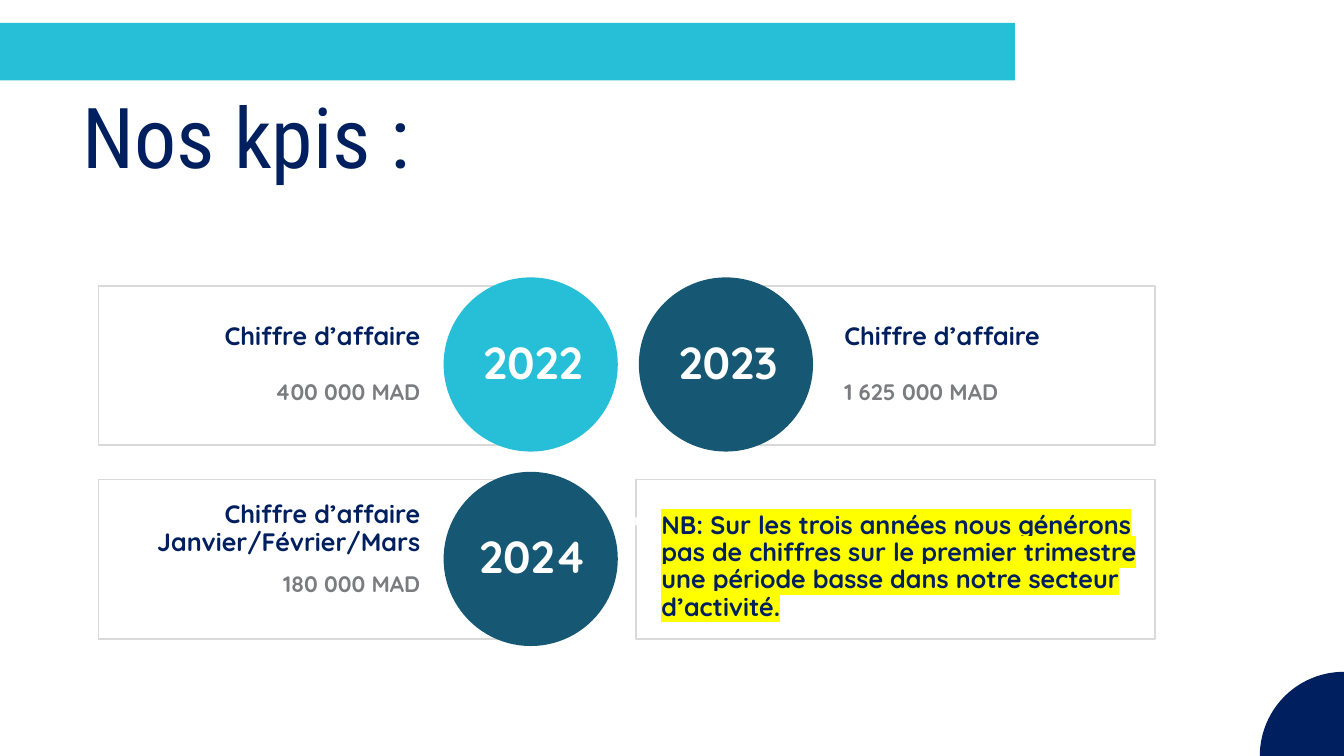
from math import cos, pi, sin

from lxml.etree import SubElement
from pptx import Presentation
from pptx.dml.color import RGBColor
from pptx.enum.shapes import MSO_SHAPE
from pptx.enum.text import MSO_ANCHOR, PP_ALIGN
from pptx.oxml import parse_xml
from pptx.oxml.ns import nsdecls, qn
from pptx.util import Cm, Pt

NAVY, CYAN, TEAL = "001F5E", "27BED8", "165873"
GREY, BORDER, WHITE = "7B7C7F", "D9D9D9", "FEFFFE"
CARD_H, CIRCLE = 4.01, 4.39


def rgb(color):
    return RGBColor.from_string(color)


def add_bullet(p, char, color):
    pPr = p._p.get_or_add_pPr()
    clr = SubElement(pPr, qn("a:buClr"))
    SubElement(clr, qn("a:srgbClr"), val=color)
    SubElement(pPr, qn("a:buChar"), char=char)


def add_highlight(r, color):
    fill = r._r.rPr.find(qn("a:solidFill"))
    fill.addnext(parse_xml(
        f'<a:highlight {nsdecls("a")}><a:srgbClr val="{color}"/></a:highlight>'))


def add_text(s, text, x, y, w, h, size=18, color=NAVY, font="Quicksand",
             bold=True, align=PP_ALIGN.LEFT, anchor=MSO_ANCHOR.MIDDLE,
             inset=0, left=0.43, hanging=0, spacing=0.9,
             bullet=None, highlight=None):
    tf = s.shapes.add_textbox(Cm(x), Cm(y), Cm(w), Cm(h)).text_frame
    tf.word_wrap = True
    tf.vertical_anchor = anchor
    tf.margin_left = tf.margin_right = Cm(inset)
    tf.margin_top = tf.margin_bottom = Cm(inset)
    p = tf.paragraphs[0]
    p.alignment = align
    p.line_spacing = spacing
    pPr = p._p.get_or_add_pPr()
    pPr.set("marL", str(Cm(left)))
    pPr.set("indent", str(-Cm(hanging)))
    if bullet:
        add_bullet(p, bullet, "FFFFFF")
    r = p.add_run()
    r.text = text
    r.font.name = font
    r.font.size = Pt(size)
    r.font.bold = bold
    r.font.color.rgb = rgb(color)
    if highlight:
        add_highlight(r, highlight)


def add_solid(s, kind, x, y, w, h, color):
    sp = s.shapes.add_shape(kind, Cm(x), Cm(y), Cm(w), Cm(h))
    sp.shadow.inherit = False
    sp.fill.solid()
    sp.fill.fore_color.rgb = rgb(color)
    sp.line.fill.background()


def add_card(s, x, y, w):
    sp = s.shapes.add_shape(MSO_SHAPE.RECTANGLE, Cm(x), Cm(y), Cm(w), Cm(CARD_H))
    sp.shadow.inherit = False
    sp.fill.background()
    sp.line.color.rgb = rgb(BORDER)
    sp.line.width = Pt(1)


def add_year(s, year, x, y, color):
    add_solid(s, MSO_SHAPE.OVAL, x, y, CIRCLE, CIRCLE, color)
    add_text(s, year, x + 0.46, y + 1.4, 3.15, 1.6, size=32, color=WHITE,
             align=PP_ALIGN.CENTER)


def add_figure(s, heading, amount, x, heading_y, amount_y, align):
    add_text(s, heading, x, heading_y, 7.21, 1.02, align=align)
    add_text(s, amount, x, amount_y, 7.21, 1.45, size=16, color=GREY,
             align=align, spacing=Pt(19.8))


def add_corner(s, right, bottom, radius):
    arc = [(Cm(right - radius * cos(i * pi / 120)),
            Cm(bottom - radius * sin(i * pi / 120))) for i in range(61)]
    fb = s.shapes.build_freeform(Cm(right), Cm(bottom))
    fb.add_line_segments(arc, close=True)
    sp = fb.convert_to_shape()
    sp.shadow.inherit = False
    sp.fill.solid()
    sp.fill.fore_color.rgb = rgb(NAVY)
    sp.line.fill.background()


def main():
    prs = Presentation()
    prs.slide_width, prs.slide_height = Cm(33.87), Cm(19.05)
    s = prs.slides.add_slide(prs.slide_layouts[6])

    add_corner(s, 33.87, 19.05, 2.12)
    for x, y, w in ((2.49, 7.21, 11.6), (17.65, 7.21, 11.46),
                    (2.49, 12.09, 11.58), (16.03, 12.09, 13.08)):
        add_card(s, x, y, w)
    for year, x, y, color in (("2022", 11.18, 6.99, CYAN),
                              ("2023", 16.1, 6.99, TEAL),
                              ("2024", 11.18, 11.89, TEAL)):
        add_year(s, year, x, y, color)

    add_figure(s, "Chiffre d’affaire", "400 000 MAD",
               3.38, 7.98, 9.12, PP_ALIGN.RIGHT)
    add_figure(s, "Chiffre d’affaire", "1 625 000 MAD",
               20.85, 7.98, 9.12, PP_ALIGN.LEFT)
    add_figure(s, "Chiffre d’affaire Janvier/Février/Mars", "180 000 MAD",
               3.38, 12.83, 13.97, PP_ALIGN.RIGHT)
    add_text(s, "NB: Sur les trois années nous générons pas de chiffres sur le "
             "premier trimestre une période basse dans notre secteur d’activité.",
             15.88, 12.7, 13.23, 3.18, left=0.79, hanging=0.79,
             bullet="▪", highlight="FFFF00")

    add_text(s, "Nos kpis :", 1.83, 2.16, 22.94, 2.82, size=60,
             font="Roboto Condensed", bold=False, anchor=MSO_ANCHOR.TOP,
             inset=0.25, left=0)
    add_solid(s, MSO_SHAPE.RECTANGLE, 0, 0.58, 25.58, 1.45, CYAN)
    prs.save("out.pptx")


if __name__ == "__main__":
    main()
